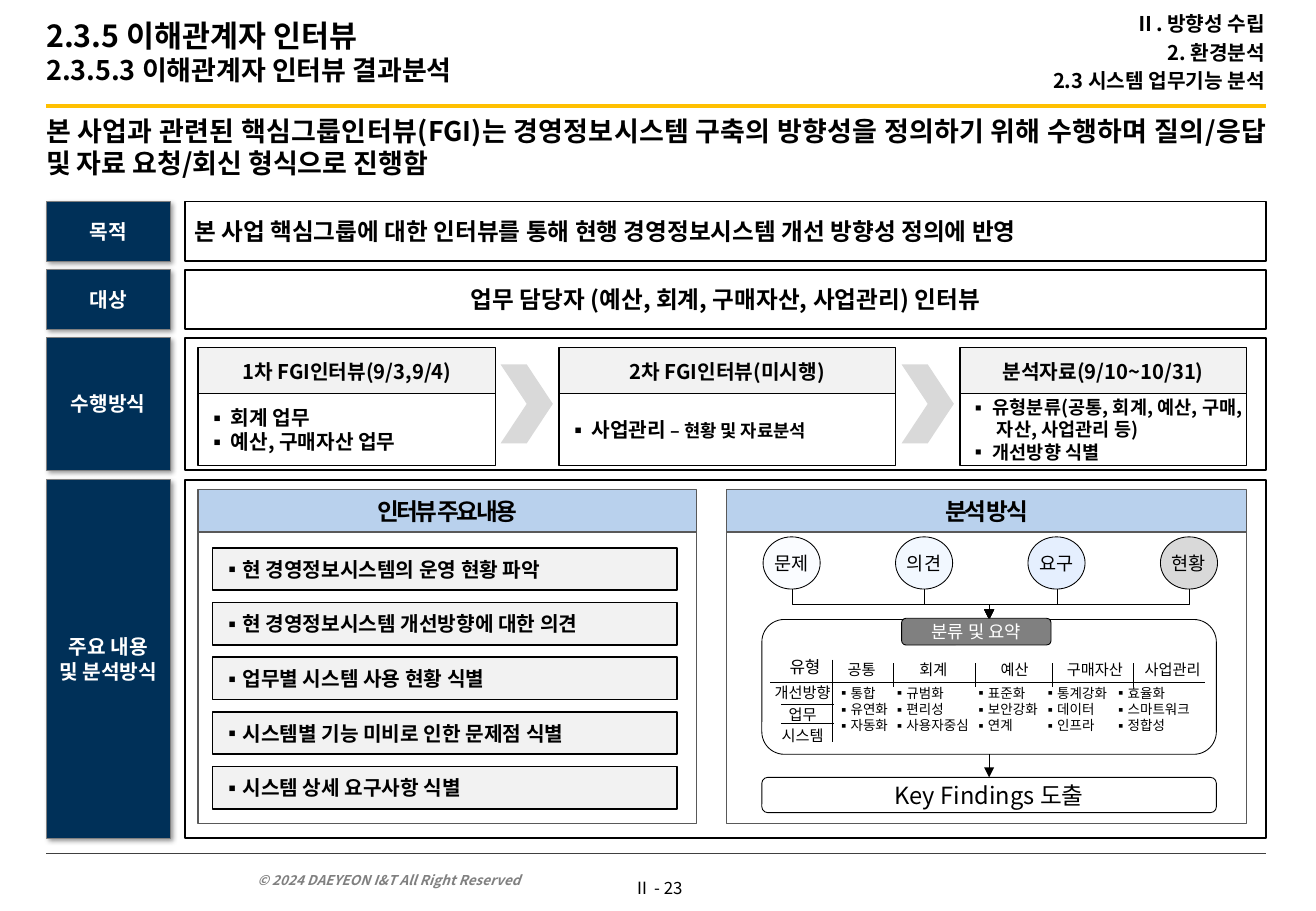
from dataclasses import dataclass
from typing import Any, NamedTuple

from lxml.etree import SubElement
from pptx import Presentation
from pptx.dml.color import RGBColor
from pptx.enum.shapes import MSO_CONNECTOR as Link, MSO_SHAPE as Kind
from pptx.enum.text import MSO_ANCHOR as Anchor, PP_ALIGN as Align
from pptx.oxml.ns import qn
from pptx.util import Inches, Pt

FONT = "Noto Sans CJK KR"
COLORS = {
    "black": "000000", "white": "FFFFFF", "navy": "003058", "gold": "FFC000",
    "gray": "808080", "dark": "404040", "panel": "595959", "header": "B9D1ED",
    "light": "F2F2F2", "silver": "D9D9D9",
    "problem": "FAFCFF", "opinion": "F2F8FF", "request": "E5EFFE",
}
TIGHT = (0.08, 0.04, 0.08, 0.04)
NARROW = (0.04, 0.04, 0.04, 0.04)
CIRCLE = (0, 0.04, 0, 0.04)
NORMAL = (0.1, 0.05, 0.1, 0.05)


class Area(NamedTuple):
    left: float
    top: float
    width: float
    height: float


class Part(NamedTuple):
    text: str
    size: float


@dataclass(frozen=True)
class Step:
    left: float
    width: float
    title: str
    items: list
    size: float = 12


@dataclass(frozen=True)
class Category:
    name: str
    name_left: float
    name_width: float
    list_left: float
    items: list


@dataclass(frozen=True)
class Source:
    name: str
    color: str


STEPS = [
    Step(1.63, 2.45, "1차 FGI인터뷰(9/3,9/4)", ["회계 업무", "예산, 구매자산 업무"]),
    Step(4.6, 2.77, "2차 FGI인터뷰(미시행)",
         [[Part("사업관리 ", 12), Part("– 현황 및 자료분석", 10.5)]]),
    Step(7.9, 2.36, "분석자료(9/10~10/31)",
         ["유형분류(공통, 회계, 예산, 구매, 자산, 사업관리 등)", "개선방향 식별"], 11),
]
TOPICS = ["현 경영정보시스템의 운영 현황 파악", "현 경영정보시스템 개선방향에 대한 의견",
          "업무별 시스템 사용 현황 식별", "시스템별 기능 미비로 인한 문제점 식별",
          "시스템 상세 요구사항 식별"]
SOURCES = [Source("문제", "problem"), Source("의견", "opinion"),
           Source("요구", "request"), Source("현황", "silver")]
CATEGORIES = [
    Category("공통", 6.85, 0.48, 6.79, ["통합", "유연화", "자동화"]),
    Category("회계", 7.37, 0.62, 7.25, ["규범화", "편리성", "사용자중심"]),
    Category("예산", 8.09, 0.52, 7.92, ["표준화", "보안강화", "연계"]),
    Category("구매자산", 8.63, 0.76, 8.49, ["통계강화", "데이터", "인프라"]),
    Category("사업관리", 9.27, 0.76, 9.07, ["효율화", "스마트워크", "정합성"]),
]
GRID_LINES = [(6.34, 5.62, 9.92, 5.62), (6.85, 5.43, 6.85, 6.11),
              (6.43, 5.8, 6.86, 5.8), (6.43, 5.96, 6.86, 5.96)]
GRID_LINES += [(x, 5.46, x, 5.66) for x in (7.35, 8.03, 8.66, 9.33)]

presentation = Presentation()
presentation.slide_width = Inches(10.83)
presentation.slide_height = Inches(7.5)
slide = presentation.slides.add_slide(presentation.slide_layouts[6])


def rgb(name: str) -> RGBColor:
    return RGBColor.from_string(COLORS[name])


def write(shape: Any, paragraphs: list, *, size: float = 12, color: str = "black",
          bold: bool = False, italic: bool = False, align: Any = Align.LEFT,
          anchor: Any = Anchor.MIDDLE, insets: tuple = NORMAL, indent: float = 0,
          before: float = 0, line_spacing: float = 1, tracking: float = 0,
          wrap: bool = True) -> None:
    frame = shape.text_frame
    frame.word_wrap = wrap
    frame.vertical_anchor = anchor
    (frame.margin_left, frame.margin_top,
     frame.margin_right, frame.margin_bottom) = map(Inches, insets)
    for index, content in enumerate(paragraphs):
        paragraph = frame.add_paragraph() if index else frame.paragraphs[0]
        paragraph.alignment = align
        if indent:
            properties = paragraph._p.get_or_add_pPr()
            properties.set("marL", str(Inches(indent)))
            properties.set("indent", str(-Inches(indent)))
            SubElement(properties, qn("a:buFont"), typeface=FONT)
            SubElement(properties, qn("a:buChar"), char="▪")
        if index and before:
            paragraph.space_before = Pt(before)
        if line_spacing != 1:
            paragraph.line_spacing = line_spacing
        for part in [Part(content, size)] if isinstance(content, str) else content:
            run = paragraph.add_run()
            run.text = part.text
            font = run.font
            font.name, font.size, font.bold, font.italic = FONT, Pt(part.size), bold, italic
            font.color.rgb = rgb(color)
            SubElement(font._element, qn("a:ea"), typeface=FONT)
            if tracking:
                font._element.set("spc", str(int(tracking * 100)))


def add_text(area: Area, paragraphs: list, **style: Any) -> None:
    write(slide.shapes.add_textbox(*map(Inches, area)), paragraphs,
          **{"anchor": Anchor.TOP, **style})


def add_box(area: Area, fill: str, paragraphs: list = (), *, kind: Any = Kind.RECTANGLE,
            line: str = "black", weight: float = 1, **style: Any) -> Any:
    shape = slide.shapes.add_shape(kind, *map(Inches, area))
    shape.shadow.inherit = False
    shape.fill.solid()
    shape.fill.fore_color.rgb = rgb(fill)
    if weight:
        shape.line.color.rgb = rgb(line)
        shape.line.width = Pt(weight)
    else:
        shape.line.fill.background()
    if paragraphs:
        write(shape, paragraphs, **style)
    return shape


def add_label(top: float, height: float, text: str) -> None:
    shape = add_box(Area(0.38, top, 1.02, height), "navy", [text], line="gray", weight=0.5,
                    color="white", bold=True, align=Align.CENTER)
    effects = shape._element.spPr.find(qn("a:effectLst"))
    shadow = SubElement(effects, qn("a:outerShdw"), blurRad=str(Pt(3)), dist=str(Pt(2)),
                        dir="2700000", algn="tl", rotWithShape="0")
    tint = SubElement(shadow, qn("a:srgbClr"), val=COLORS["black"])
    SubElement(tint, qn("a:alpha"), val="40000")


def add_line(ends: tuple, *, color: str = "black", weight: float = 0.5,
             arrow: bool = False, kind: Any = Link.STRAIGHT) -> Any:
    connector = slide.shapes.add_connector(kind, *map(Inches, ends))
    connector.line.color.rgb = rgb(color)
    connector.line.width = Pt(weight)
    if arrow:
        SubElement(connector.line._get_or_add_ln(), qn("a:tailEnd"), type="triangle")
    SubElement(connector._element.spPr, qn("a:effectLst"))
    return connector


def add_downward_elbow(x1: float, y1: float, x2: float, y2: float) -> None:
    drop, reach = y2 - y1, abs(x2 - x1)
    left, top = (x1 + x2 - drop) / 2, (y1 + y2 - reach) / 2
    near, far = (left + drop, left) if x2 > x1 else (left, left + drop)
    connector = add_line((near, top, far, top + reach), arrow=True, kind=Link.ELBOW)
    turn = 270 if x2 > x1 else 90
    connector._element.spPr.find(qn("a:xfrm")).set("rot", str(turn * 60000))


add_line((0.38, 0.87, 10.42, 0.87), color="gold", weight=2.5)
add_line((0.38, 7.03, 10.42, 7.03), color="dark")
add_text(Area(2.02, 7.09, 3.02, 0.27), ["© 2024 DAEYEON I&T All Right Reserved"], size=8,
         color="gray", bold=True, italic=True, anchor=Anchor.BOTTOM)
add_text(Area(5.12, 7.18, 0.59, 0.27), ["Ⅱ - 23"], size=10, align=Align.CENTER,
         insets=(0.06, 0.05, 0.06, 0.05), wrap=False)
add_text(Area(0.38, 0, 4.49, 0.85),
         [[Part("2.3.5 이해관계자 인터뷰", 18)], [Part("2.3.5.3 이해관계자 인터뷰 결과분석", 16)]],
         bold=True, anchor=Anchor.MIDDLE, insets=(0, 0.05, 0.1, 0.05))
add_text(Area(6.87, 0, 3.54, 0.86), ["Ⅱ. 방향성 수립", "2. 환경분석", "2.3 시스템 업무기능 분석"],
         bold=True, align=Align.RIGHT, anchor=Anchor.MIDDLE, insets=(0, 0.05, 0, 0.05), before=2.4)
add_text(Area(0.38, 0.94, 10.04, 0.68),
         ["본 사업과 관련된 핵심그룹인터뷰(FGI)는 경영정보시스템 구축의 방향성을 정의하기 위해 "
          "수행하며 질의/응답 및 자료 요청/회신 형식으로 진행함"],
         size=16, bold=True, align=Align.JUSTIFY, insets=(0, 0, 0, 0))

for top, height, label, content, align in [
    (1.66, 0.49, "목적", ["본 사업 핵심그룹에 대한 인터뷰를 통해 현행 경영정보시스템 개선 방향성 정의에 반영"], Align.LEFT),
    (2.22, 0.49, "대상", ["업무 담당자 (예산, 회계, 구매자산, 사업관리) 인터뷰"], Align.CENTER),
    (2.78, 1.09, "수행방식", [], Align.LEFT),
    (3.95, 2.95, "주요 내용 및 분석방식", [], Align.LEFT),
]:
    add_label(top, height, label)
    add_box(Area(1.52, top, 8.9, height), "white", content, size=14, bold=True,
            align=align, insets=TIGHT)

for step in STEPS:
    add_box(Area(step.left, 2.86, step.width, 0.39), "light", [step.title], weight=0.75,
            bold=True, align=Align.CENTER, insets=TIGHT)
    add_box(Area(step.left, 3.24, step.width, 0.59), "white", step.items, weight=0.75,
            size=step.size, bold=True, insets=TIGHT, indent=0.19)
for left in (4.12, 7.42):
    add_box(Area(left, 3, 0.43, 0.65), "silver", kind=Kind.CHEVRON, weight=0)

for left, width, title in [(1.63, 4.1, "인터뷰 주요내용"), (5.98, 4.28, "분석 방식")]:
    add_box(Area(left, 4.38, width, 2.4), "white", line="panel", weight=0.75)
    add_box(Area(left, 4.03, width, 0.35), "header", [title], line="panel", weight=0.75, size=14,
            bold=True, align=Align.CENTER, insets=NARROW, line_spacing=1.05, tracking=-1.5)
for index, topic in enumerate(TOPICS):
    add_box(Area(1.75, 4.51 + 0.45 * index, 3.82, 0.35), "light", [topic], bold=True,
            insets=TIGHT, indent=0.1)

add_box(Area(6.27, 5.1, 3.74, 1.11), "white", kind=Kind.ROUNDED_RECTANGLE, weight=0.5)
add_box(Area(6.27, 6.4, 3.74, 0.29), "white", ["Key Findings 도출"], kind=Kind.ROUNDED_RECTANGLE,
        weight=0.5, size=14, align=Align.CENTER)
for index, source in enumerate(SOURCES):
    left = 6.28 + 1.09 * index
    add_box(Area(left, 4.42, 0.47, 0.43), source.color, [source.name], kind=Kind.OVAL,
            weight=0.5, size=11, align=Align.CENTER, insets=CIRCLE)
    add_downward_elbow(left + 0.24, 4.85, 8.14, 5.1)
add_line((8.14, 6.21, 8.14, 6.4), arrow=True)
add_box(Area(7.42, 5.09, 1.23, 0.22), "gray", ["분류 및 요약"], kind=Kind.ROUNDED_RECTANGLE,
        weight=0.5, size=10.5, color="white", align=Align.CENTER)

for ends in GRID_LINES:
    add_line(ends)
add_text(Area(6.36, 5.36, 0.53, 0.27), ["유형"], size=10, align=Align.CENTER)
for index, name in enumerate(["개선방향", "업무", "시스템"]):
    add_text(Area(6.24, 5.58 + 0.175 * index, 0.73, 0.25), [name], size=9, align=Align.CENTER)
for category in CATEGORIES:
    add_text(Area(category.name_left, 5.39, category.name_width, 0.25), [category.name],
             size=9, align=Align.CENTER)
    add_text(Area(category.list_left, 5.59, 0.98, 0.5), category.items, size=8, indent=0.1)

presentation.save("out.pptx")
